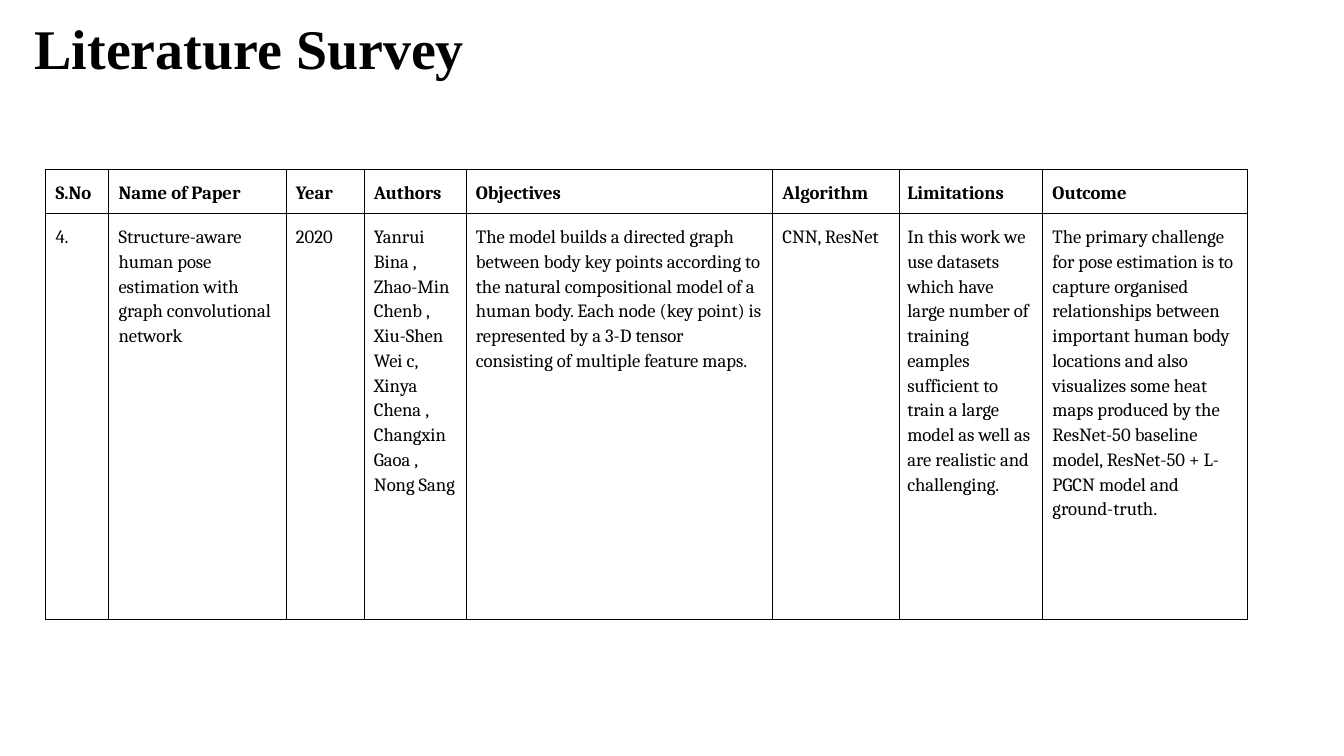
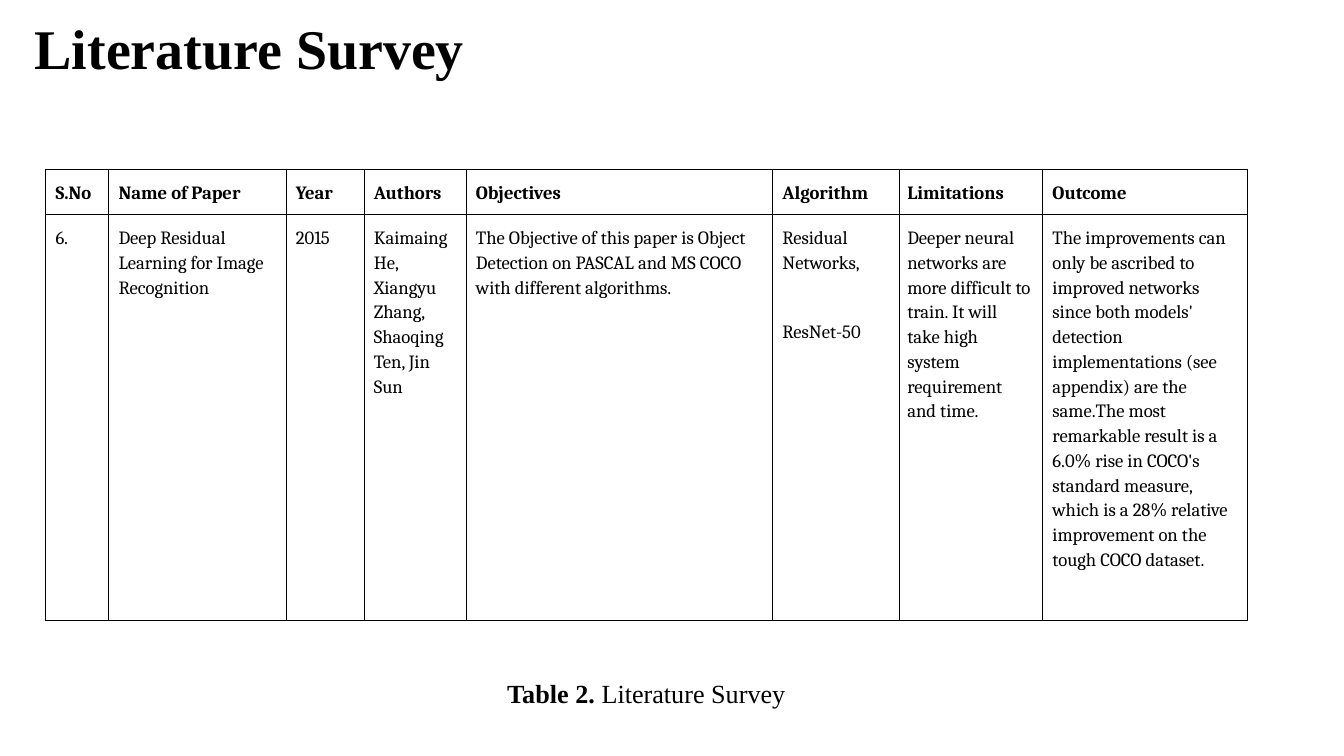
from dataclasses import dataclass

from lxml import etree
from pptx import Presentation
from pptx.dml import color
from pptx.enum import text
from pptx.oxml import ns
from pptx.util import Pt


@dataclass(frozen=True)
class Theme:
    ink: str = "000000"
    paper: str = "FFFFFF"
    heading_font: str = "Times New Roman"
    table_font: str = "Cambria"
    title_size: float = 30
    caption_size: float = 14
    table_size: float = 10
    border: float = 0.6
    inset: float = 7.2
    cell_inset: float = 5.25


THEME = Theme()
SLIDE_SIZE = (720, 405)
TITLE_BOX = (11.5, 0, 696, 51)
TABLE_BOX = (24.5, 90.7, 643.7, 237.6)
CAPTION_BOX = (228.2, 355.7, 236.2, 31.7)
HEADER_HEIGHT = 20.2
COLUMNS = {
    "S.No": 33.8,
    "Name of Paper": 95,
    "Year": 41.8,
    "Authors": 54.7,
    "Objectives": 164.2,
    "Algorithm": 67.7,
    "Limitations": 77,
    "Outcome": 109.5,
}
INSETS = {"Limitations": 4.5}

POSE_PAPER = [
    "4.",
    "Structure-aware human pose estimation with graph convolutional network",
    "2020",
    "Yanrui Bina , Zhao-Min Chenb , Xiu-Shen Wei c, Xinya Chena , Changxin Gaoa , Nong Sang",
    "The model builds a directed graph between body key points according to the natural "
    "compositional model of a human body. Each node (key point) is represented by a 3-D "
    "tensor consisting of multiple feature maps.",
    "CNN, ResNet",
    "In this work we use datasets which have large number of training eamples sufficient "
    "to train a large model as well as are realistic and challenging.",
    "The primary challenge for pose estimation is to capture organised relationships "
    "between important human body locations and also visualizes some heat maps produced by "
    "the ResNet-50 baseline model, ResNet-50 + L-PGCN model and ground-truth.",
]
RESIDUAL_PAPER = [
    "6.",
    "Deep Residual Learning for Image Recognition",
    "2015",
    "Kaimaing He, Xiangyu Zhang, Shaoqing Ten, Jin Sun",
    "The Objective of this paper is Object Detection on PASCAL and MS COCO with different "
    "algorithms.",
    "Residual Networks,\nResNet-50",
    "Deeper neural networks are more difficult to train. It will take high system "
    "requirement and time.",
    "The improvements can only be ascribed to improved networks since both models' "
    "detection implementations (see appendix) are the same.The most remarkable result is a "
    "6.0% rise in COCO's standard measure, which is a 28% relative improvement on the tough "
    "COCO dataset.",
]


def apply(target, formats):
    for name, value in formats.items():
        setattr(target, name, value)


def add_run(paragraph, content, font_name, size, bold):
    run = paragraph.add_run()
    run.text = content
    apply(run.font, {"name": font_name, "size": Pt(size), "bold": bold})
    run.font.color.rgb = color.RGBColor.from_string(THEME.ink)


def add_text(slide, box, runs, size, alignment):
    shape = slide.shapes.add_textbox(*map(Pt, box))
    frame = shape.text_frame
    apply(frame, {
        "word_wrap": True,
        "auto_size": text.MSO_AUTO_SIZE.SHAPE_TO_FIT_TEXT,
        **{f"margin_{side}": Pt(THEME.inset) for side in ("left", "right", "top", "bottom")},
    })
    paragraph = frame.paragraphs[0]
    paragraph.alignment = alignment
    for content, bold in runs:
        add_run(paragraph, content, THEME.heading_font, size, bold)


def add_borders(cell):
    properties = cell._tc.get_or_add_tcPr()
    for index, tag in enumerate(("a:lnL", "a:lnR", "a:lnT", "a:lnB")):
        line = etree.Element(ns.qn(tag), w=str(Pt(THEME.border)))
        fill = etree.SubElement(line, ns.qn("a:solidFill"))
        etree.SubElement(fill, ns.qn("a:srgbClr"), val=THEME.ink)
        properties.insert(index, line)


def fill_cell(cell, heading, content, bold):
    inset = Pt(THEME.cell_inset)
    apply(cell, {
        "margin_left": Pt(INSETS.get(heading, THEME.cell_inset)),
        "margin_right": inset,
        "margin_top": inset,
        "margin_bottom": inset,
        "vertical_anchor": text.MSO_ANCHOR.TOP,
    })
    cell.fill.background()
    add_borders(cell)
    frame = cell.text_frame
    after = 0 if heading == "Authors" and not bold else 12
    for index, line in enumerate(content.split("\n")):
        paragraph = frame.add_paragraph() if index else frame.paragraphs[0]
        apply(paragraph, {
            "line_spacing": 1.15,
            "space_before": Pt(12),
            "space_after": Pt(after),
        })
        add_run(paragraph, line, THEME.table_font, THEME.table_size, bold)


def add_survey_table(slide, box, paper):
    table = slide.shapes.add_table(2, len(COLUMNS), *map(Pt, box)).table
    apply(table, {"first_row": False, "horz_banding": False})
    for row, height in zip(table.rows, (HEADER_HEIGHT, box[3] - HEADER_HEIGHT)):
        row.height = Pt(height)
    for index, (heading, width) in enumerate(COLUMNS.items()):
        table.columns[index].width = Pt(width)
        fill_cell(table.cell(0, index), heading, heading, True)
        fill_cell(table.cell(1, index), heading, paper[index], False)


def add_survey_slide(presentation, paper, caption=None):
    slide = presentation.slides.add_slide(presentation.slide_layouts[6])
    background = slide.background.fill
    background.solid()
    background.fore_color.rgb = color.RGBColor.from_string(THEME.paper)
    add_survey_table(slide, TABLE_BOX, paper)
    if caption:
        add_text(slide, CAPTION_BOX, caption, THEME.caption_size, text.PP_ALIGN.CENTER)
    add_text(slide, TITLE_BOX, [("Literature Survey", True)], THEME.title_size, text.PP_ALIGN.LEFT)


def main():
    presentation = Presentation()
    width, height = map(Pt, SLIDE_SIZE)
    apply(presentation, {"slide_width": width, "slide_height": height})
    add_survey_slide(presentation, POSE_PAPER)
    add_survey_slide(
        presentation, RESIDUAL_PAPER, [("Table 2. ", True), ("Literature Survey", False)]
    )
    presentation.save("out.pptx")


if __name__ == "__main__":
    main()
